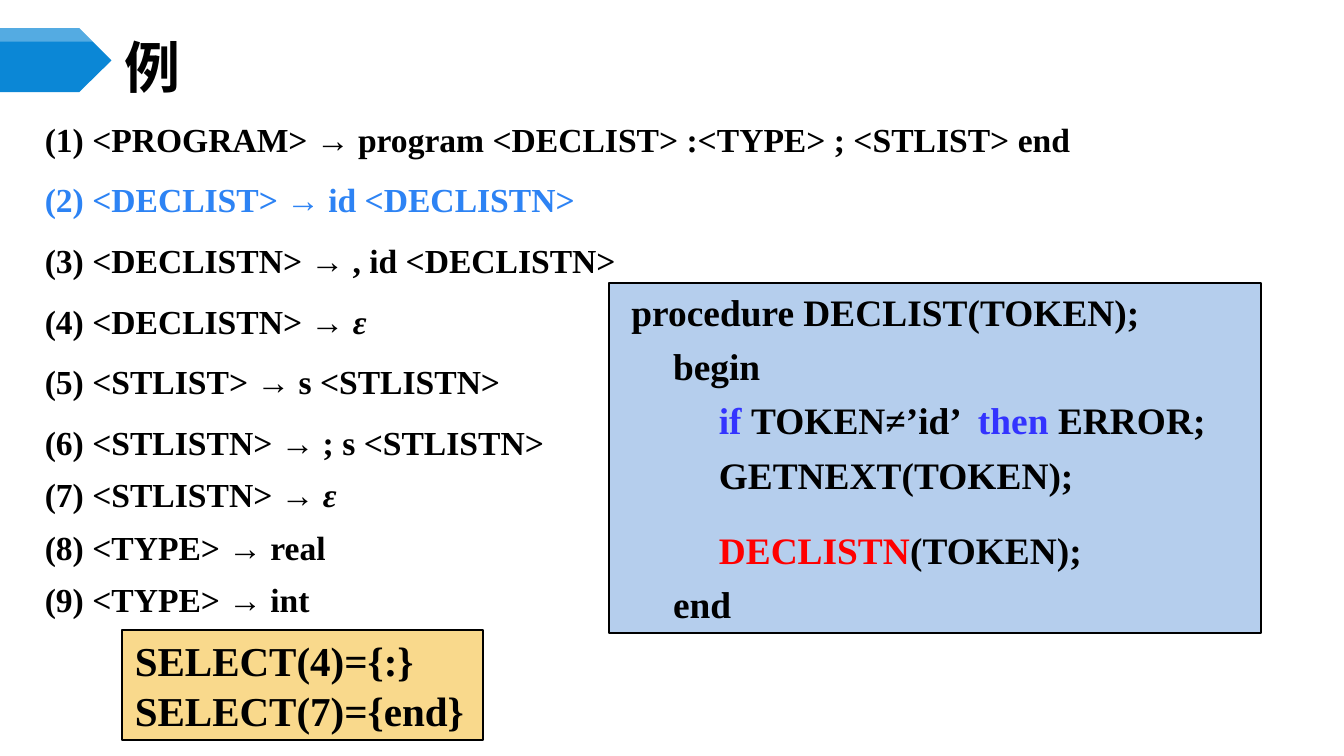
from lxml.etree import SubElement
from pptx import Presentation
from pptx.dml.color import RGBColor
from pptx.enum.shapes import MSO_SHAPE
from pptx.enum.text import MSO_ANCHOR, PP_ALIGN
from pptx.oxml.ns import qn
from pptx.util import Inches, Pt

COLORS = {
    "ink": "000000",
    "ribbon": "0B87D6",
    "white": "FFFFFF",
    "rule": "2D83F4",
    "keyword": "3333FF",
    "call": "FF0000",
    "code": "B5CEED",
    "select": "F9D98C",
}
CELL = Inches(0.1)
COLUMNS, ROWS = 100, 56.25


def cells(*counts):
    return [round(count * CELL) for count in counts]


def color(name):
    return RGBColor.from_string(COLORS[name])


class Board:
    latin = "Times New Roman"
    chinese = "Noto Sans CJK SC"

    def __init__(self, deck):
        self.slide = deck.slides.add_slide(deck.slide_layouts[6])

    def ribbon(self, points, fill, alpha=None):
        corners = [tuple(cells(*point)) for point in points]
        builder = self.slide.shapes.build_freeform(*corners[0])
        builder.add_line_segments(corners[1:], close=True)
        band = builder.convert_to_shape()
        band.shadow.inherit = False
        band.fill.solid()
        band.fill.fore_color.rgb = color(fill)
        band.line.fill.background()
        if alpha:
            tint = band.fill._xPr.find(".//" + qn("a:srgbClr"))
            SubElement(tint, qn("a:alpha"), val=str(alpha * 1000))

    def text(self, place, anchor=MSO_ANCHOR.TOP, wrap=True):
        return self.frame(self.slide.shapes.add_textbox(*cells(*place)), anchor, wrap)

    def panel(self, place, fill, anchor=MSO_ANCHOR.TOP, wrap=True):
        panel = self.slide.shapes.add_shape(MSO_SHAPE.RECTANGLE, *cells(*place))
        panel.shadow.inherit = False
        panel.fill.solid()
        panel.fill.fore_color.rgb = color(fill)
        panel.line.color.rgb = color("ink")
        panel.line.width = Pt(1)
        return self.frame(panel, anchor, wrap)

    def frame(self, holder, anchor, wrap):
        frame = holder.text_frame
        frame.word_wrap = wrap
        frame.vertical_anchor = anchor
        return frame

    def line(self, frame, pieces, size, font=latin, before=0, spacing=None,
             left=0, hanging=0):
        first = not frame.text
        paragraph = frame.paragraphs[0] if first else frame.add_paragraph()
        paragraph.alignment = PP_ALIGN.LEFT
        paragraph.space_before = Pt(0 if first else before)
        if spacing:
            paragraph.line_spacing = Pt(spacing)
        margins = paragraph._p.get_or_add_pPr()
        margins.set("marL", str(Inches(left)))
        margins.set("indent", str(-Inches(hanging)))
        for words, ink, italic in pieces:
            run = paragraph.add_run()
            run.text = words
            run.font.size = Pt(size)
            run.font.bold = True
            run.font.italic = italic
            run.font.color.rgb = color(ink)
            run.font.name = font
            SubElement(run._r.get_or_add_rPr(), qn("a:ea"), typeface=font)


def plain(words, ink="ink"):
    return words, ink, False


def main():
    deck = Presentation()
    deck.slide_width, deck.slide_height = cells(COLUMNS, ROWS)
    board = Board(deck)

    board.ribbon([(0, 2.1), (5.9, 2.1), (8.3, 4.5), (5.9, 6.85), (0, 6.85)], "ribbon")
    board.ribbon([(0, 2.1), (5.9, 2.1), (6.9, 3.1), (0, 3.1)], "white", alpha=30)

    select = board.panel((9.05, 46.87, 26.9, 8.2), "select", MSO_ANCHOR.MIDDLE, wrap=False)
    for words in ("SELECT(4)={:}", "SELECT(7)={end}"):
        board.line(select, [plain(words)], 22)

    title = board.text((8.3, 2.95, 86.7, 3.9), MSO_ANCHOR.MIDDLE)
    board.line(title, [plain("例")], 30, font=board.chinese)

    epsilon = ("ε", "ink", True)
    productions = [
        [plain("<PROGRAM> → program <DECLIST> :<TYPE> ; <STLIST> end")],
        [plain("<DECLIST> → id <DECLISTN>", "rule")],
        [plain("<DECLISTN> → , id <DECLISTN>")],
        [plain("<DECLISTN> → "), epsilon],
        [plain("<STLIST> → s <STLISTN>")],
        [plain("<STLISTN> → ; s <STLISTN>")],
        [plain("<STLISTN> → "), epsilon],
        [plain("<TYPE> → real")],
        [plain("<TYPE> → int")],
    ]
    grammar = board.text((2.35, 7.43, 95.3, 39.1))
    for number, production in enumerate(productions, 1):
        words, ink, italic = production[0]
        numbered = [(f"({number}) {words}", ink, italic)] + production[1:]
        board.line(grammar, numbered, 18, before=4.5 if number < 7 else 0,
                   spacing=28, left=0.38, hanging=0.38)

    procedure = [
        (0.07, 0, [plain("procedure DECLIST(TOKEN);")]),
        (0.38, 5, [plain("begin")]),
        (0.72, 5, [plain("if ", "keyword"), plain("TOKEN≠’id’ "),
                   plain(" then ", "keyword"), plain("ERROR;")]),
        (0.72, 5, [plain("GETNEXT(TOKEN);")]),
        (0.72, 16.2, [plain("DECLISTN", "call"), plain("(TOKEN);")]),
        (0.38, 5, [plain("end")]),
    ]
    code = board.panel((45.3, 21.03, 48.5, 26.1), "code")
    for left, before, pieces in procedure:
        board.line(code, pieces, 20, before=before, left=left)

    deck.save("out.pptx")


if __name__ == "__main__":
    main()
